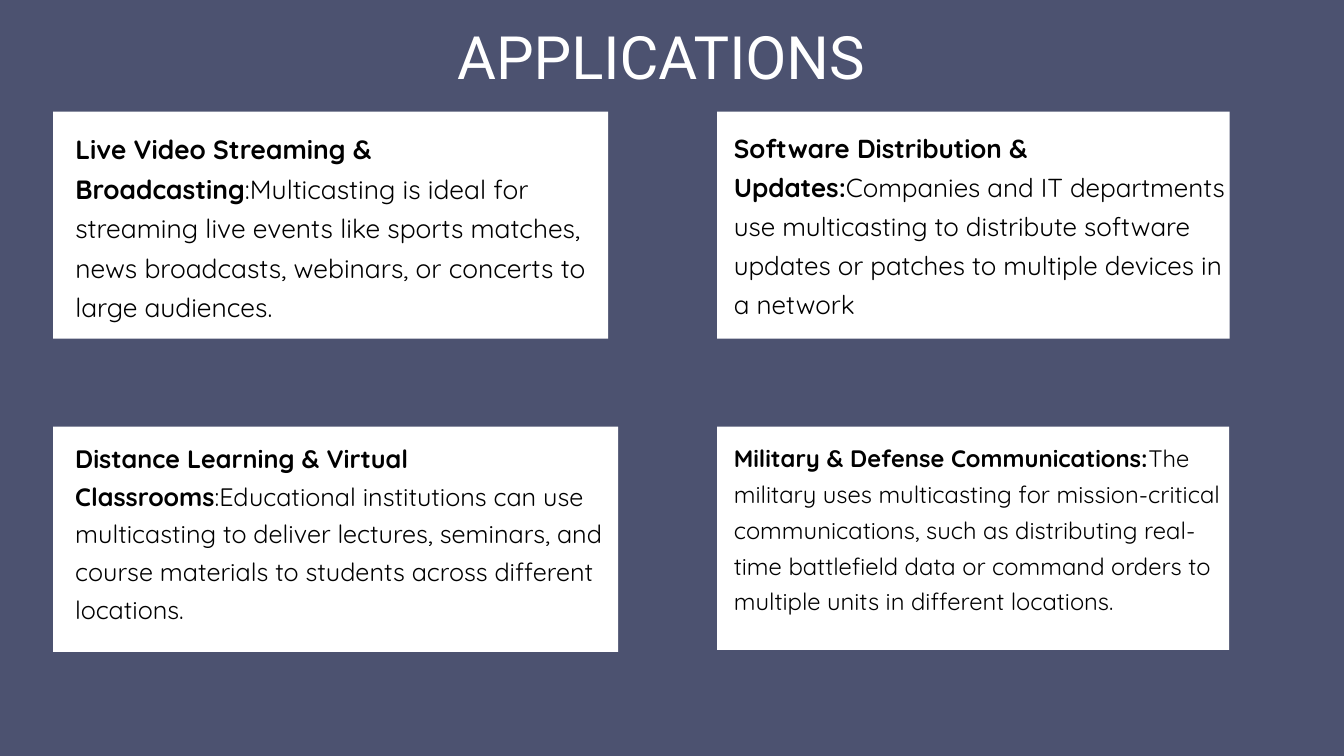
"""Build the slide on applications of multicasting: a title over four text cards."""
from pptx import Presentation
from pptx import util as u
from pptx.dml.color import RGBColor
from pptx.enum import shapes, text

COLORS = {"background": "4C5270", "card": "FFFFFF", "title": "FFFFFF", "body": "000000"}
LEFT, RIGHT, TOP, BOTTOM = 0.79, 10.67, 1.66, 6.35

CARDS = [
    {"card": (LEFT, TOP, 8.26, 3.38), "text": (1.12, 1.86, 8.35, 3.45), "size": 28.3, "spacing": 42.5,
     "heading": "Live Video Streaming & Broadcasting",
     "body": ":Multicasting is ideal for streaming live events like sports matches, "
             "news broadcasts, webinars, or concerts to large audiences."},
    {"card": (RIGHT, TOP, 7.63, 3.38), "text": (10.92, 1.85, 7.38, 3.4), "size": 27.9, "spacing": 41.8,
     "heading": "Software Distribution & Updates:",
     "body": "Companies and IT departments use multicasting to distribute software "
             "updates or patches to multiple devices in a network"},
    {"card": (LEFT, BOTTOM, 8.41, 3.35), "text": (1.12, 6.48, 8.07, 3.91), "size": 27, "spacing": 40.5,
     "heading": "Distance Learning & Virtual Classrooms",
     "body": ":Educational institutions can use multicasting to deliver lectures, seminars, "
             "and course materials to students across different locations."},
    {"card": (RIGHT, BOTTOM, 7.62, 3.32), "text": (10.92, 6.5, 7.38, 3.42), "size": 25.5, "spacing": 38.3,
     "heading": "Military & Defense Communications:",
     "body": "The military uses multicasting for mission-critical communications, such as "
             "distributing real-time battlefield data or command orders to multiple units "
             "in different locations."},
]

FRAME = {"word_wrap": True, "auto_size": text.MSO_AUTO_SIZE.NONE,
         "vertical_anchor": text.MSO_ANCHOR.TOP,
         "margin_left": 0, "margin_top": 0, "margin_right": 0, "margin_bottom": 0}


def apply(target, values):
    for name, value in values.items():
        setattr(target, name, value)


def write(box, spans, size, spacing, font, color, align):
    apply(box.text_frame, FRAME)
    para = box.text_frame.paragraphs[0]
    apply(para, {"alignment": align, "line_spacing": u.Pt(spacing)})
    for words, bold in spans:
        span = para.add_run()
        span.text = words
        apply(span.font, {"name": font, "size": u.Pt(size), "bold": bold})
        span.font.color.rgb = RGBColor.from_string(COLORS[color])


deck = Presentation()
apply(deck, {"slide_width": u.Inches(20), "slide_height": u.Inches(11.25)})
page = deck.slides.add_slide(deck.slide_layouts[5])
page.background.fill.solid()
page.background.fill.fore_color.rgb = RGBColor.from_string(COLORS["background"])

title = page.shapes.title
apply(title, {"left": u.Inches(1.37), "top": u.Inches(0.12),
              "width": u.Inches(16.93), "height": u.Inches(1.19)})
write(title, [("APPLICATIONS", False)], 64, 89.6, "Roboto", "title", text.PP_ALIGN.CENTER)

for item in CARDS:
    card = page.shapes.add_shape(shapes.MSO_SHAPE.RECTANGLE, *map(u.Inches, item["card"]))
    card.shadow.inherit = False
    card.fill.solid()
    card.fill.fore_color.rgb = RGBColor.from_string(COLORS["card"])
    card.line.fill.background()
    box = page.shapes.add_textbox(*map(u.Inches, item["text"]))
    write(box, [(item["heading"], True), (item["body"], False)],
          item["size"], item["spacing"], "Quicksand", "body", text.PP_ALIGN.LEFT)

deck.save("out.pptx")
